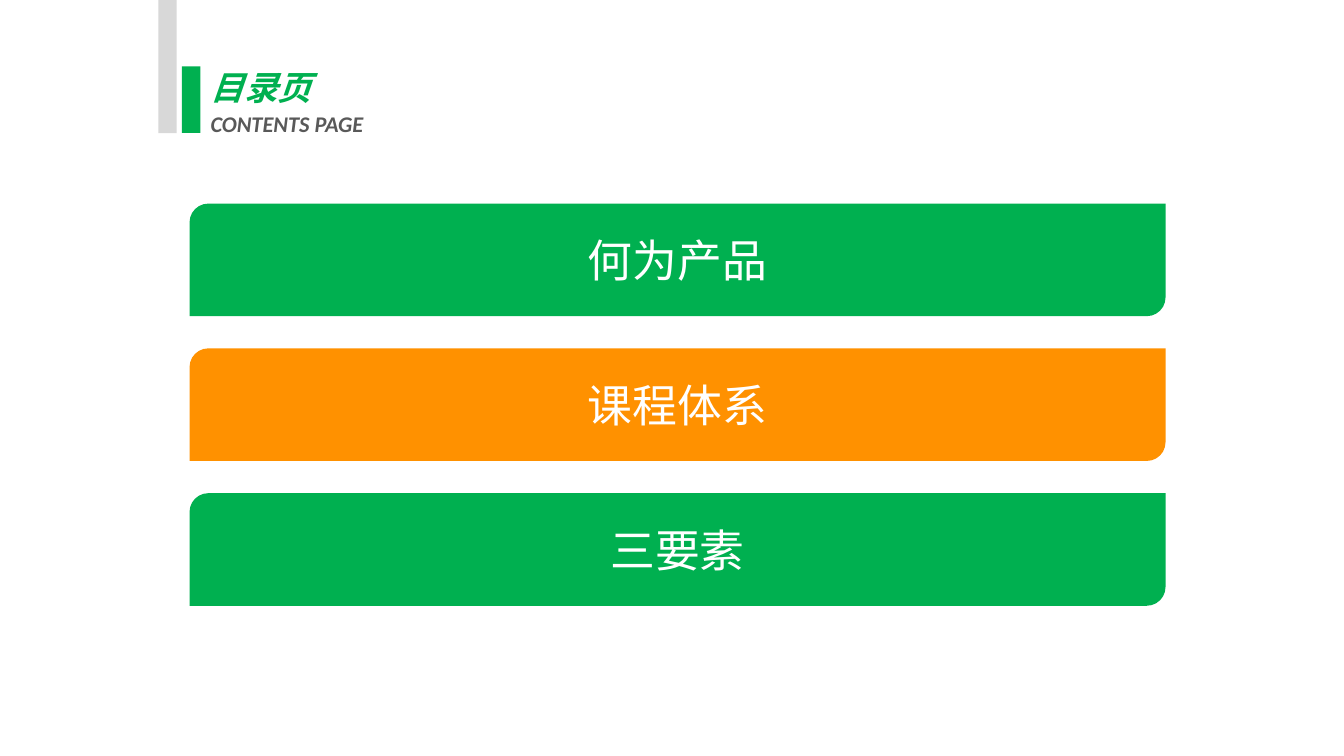
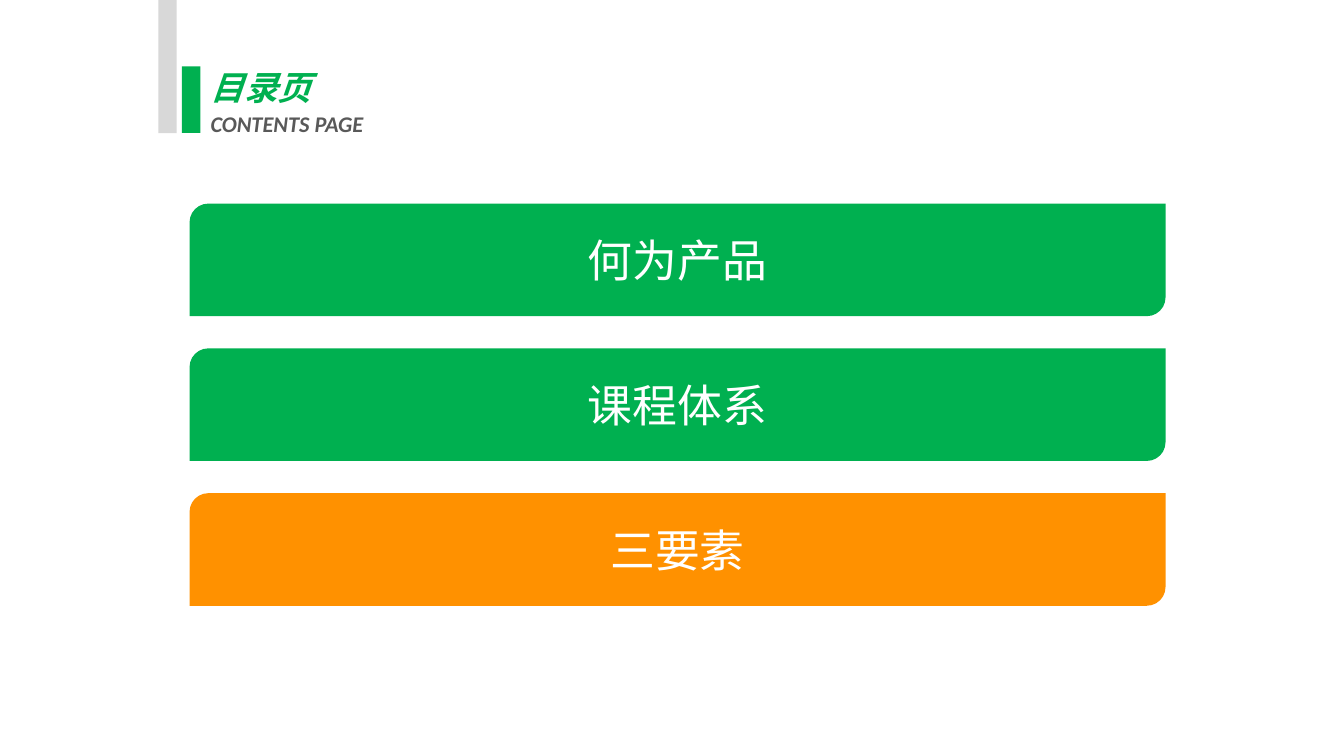
from dataclasses import dataclass

from lxml import etree
from pptx import Presentation
from pptx.dml.color import RGBColor
from pptx.enum.shapes import MSO_SHAPE
from pptx.enum.text import MSO_ANCHOR, MSO_AUTO_SIZE, PP_ALIGN
from pptx.oxml.ns import qn
from pptx.util import Inches, Pt

RECTANGLE = MSO_SHAPE.RECTANGLE
DIAGONAL_ROUND = MSO_SHAPE.ROUND_2_DIAG_RECTANGLE
TOP, MIDDLE = MSO_ANCHOR.TOP, MSO_ANCHOR.MIDDLE
LEFT, CENTER = PP_ALIGN.LEFT, PP_ALIGN.CENTER
NO_AUTOFIT = MSO_AUTO_SIZE.NONE
TITLE_ONLY = 5


@dataclass(frozen=True)
class Theme:
    """Colours, fonts and type sizes shared by the slides."""
    green: str = "00B050"
    orange: str = "FF9100"
    silver: str = "D8D8D8"
    grey: str = "595959"
    white: str = "FFFFFF"
    chinese: str = "Noto Sans CJK SC"
    latin: str = "Calibri"
    title_size: int = 24
    subtitle_size: int = 16
    chapter_size: int = 32
    title_spacing: float = 1.12


@dataclass(frozen=True)
class Box:
    """A rectangle in inches."""
    left: float
    top: float
    width: float
    height: float

    def inner(self, left, top, width, height):
        """Return the box at the given shares of this one."""
        return Box(self.left + left * self.width, self.top + top * self.height,
                   width * self.width, height * self.height)

    def rows(self, count, gap):
        """Split into equal rows, with the gap as a share of the height."""
        height = (1 - gap * (count - 1)) / count
        return [self.inner(0, i * (height + gap), 1, height) for i in range(count)]

    def place(self):
        """Return the position and size as lengths."""
        return [Inches(v) for v in (self.left, self.top, self.width, self.height)]


THEME = Theme()
SLIDE = Box(0, 0, 13.33, 7.5)
HEADING = Box(1.57, 0, 2.61, 1.32)
AGENDA = Box(1.88, 2.02, 9.68, 3.99)
CHAPTERS = ["何为产品", "课程体系", "三要素"]
CURRENT_CHAPTERS = ["课程体系", "三要素"]


def add_panel(slide, shape_kind, box, colour):
    """Add a flat filled shape."""
    panel = slide.shapes.add_shape(shape_kind, *box.place())
    panel.shadow.inherit = False
    panel.fill.solid()
    panel.fill.fore_color.rgb = RGBColor.from_string(colour)
    panel.line.fill.background()
    return panel


def write(paragraph, text, typeface, colour, alignment, **formats):
    """Write one formatted run with the same Latin and East Asian font."""
    paragraph.alignment = alignment
    run = paragraph.add_run()
    run.text = text
    for attribute, value in {"name": typeface, **formats}.items():
        setattr(run.font, attribute, value)
    run.font.color.rgb = RGBColor.from_string(colour)
    latin = run.font._element.find(qn("a:latin"))
    east_asian = etree.Element(qn("a:ea"), typeface=typeface)
    latin.addnext(east_asian)


def add_heading(slide, box):
    """Place the two upright bands and the bilingual title."""
    add_panel(slide, RECTANGLE, box.inner(0, 0, 0.07, 1), THEME.silver)
    add_panel(slide, RECTANGLE, box.inner(0.09, 0.5, 0.07, 0.5), THEME.green)
    title = slide.shapes.title
    title.left, title.top, title.width, title.height = box.inner(
        0.16, 0.43, 0.84, 0.64).place()
    frame = title.text_frame
    for attribute, value in {"word_wrap": True, "auto_size": NO_AUTOFIT,
                             "vertical_anchor": TOP}.items():
        setattr(frame, attribute, value)
    lines = [("目录页", THEME.chinese, THEME.green, THEME.title_size),
             ("CONTENTS PAGE", THEME.latin, THEME.grey, THEME.subtitle_size)]
    paragraphs = [frame.paragraphs[0], frame.add_paragraph()]
    for paragraph, (text, typeface, colour, size) in zip(paragraphs, lines):
        paragraph.line_spacing = THEME.title_spacing
        write(paragraph, text, typeface, colour, LEFT,
              size=Pt(size), bold=True, italic=True)


def add_agenda(slide, box, current):
    """Stack the chapter bars and highlight the current one."""
    for chapter, row in zip(CHAPTERS, box.rows(len(CHAPTERS), 0.08)):
        colour = THEME.orange if chapter == current else THEME.green
        bar = add_panel(slide, DIAGONAL_ROUND, row, colour)
        bar.text_frame.vertical_anchor = MIDDLE
        write(bar.text_frame.paragraphs[0], chapter, THEME.chinese,
              THEME.white, CENTER, size=Pt(THEME.chapter_size))


def add_contents_slide(deck, current):
    """Add a contents slide for the current chapter."""
    slide = deck.slides.add_slide(deck.slide_layouts[TITLE_ONLY])
    add_heading(slide, HEADING)
    add_agenda(slide, AGENDA, current)


def main():
    """Build and save the deck."""
    deck = Presentation()
    deck.slide_width, deck.slide_height = Inches(SLIDE.width), Inches(SLIDE.height)
    for current in CURRENT_CHAPTERS:
        add_contents_slide(deck, current)
    deck.save("out.pptx")


if __name__ == "__main__":
    main()
